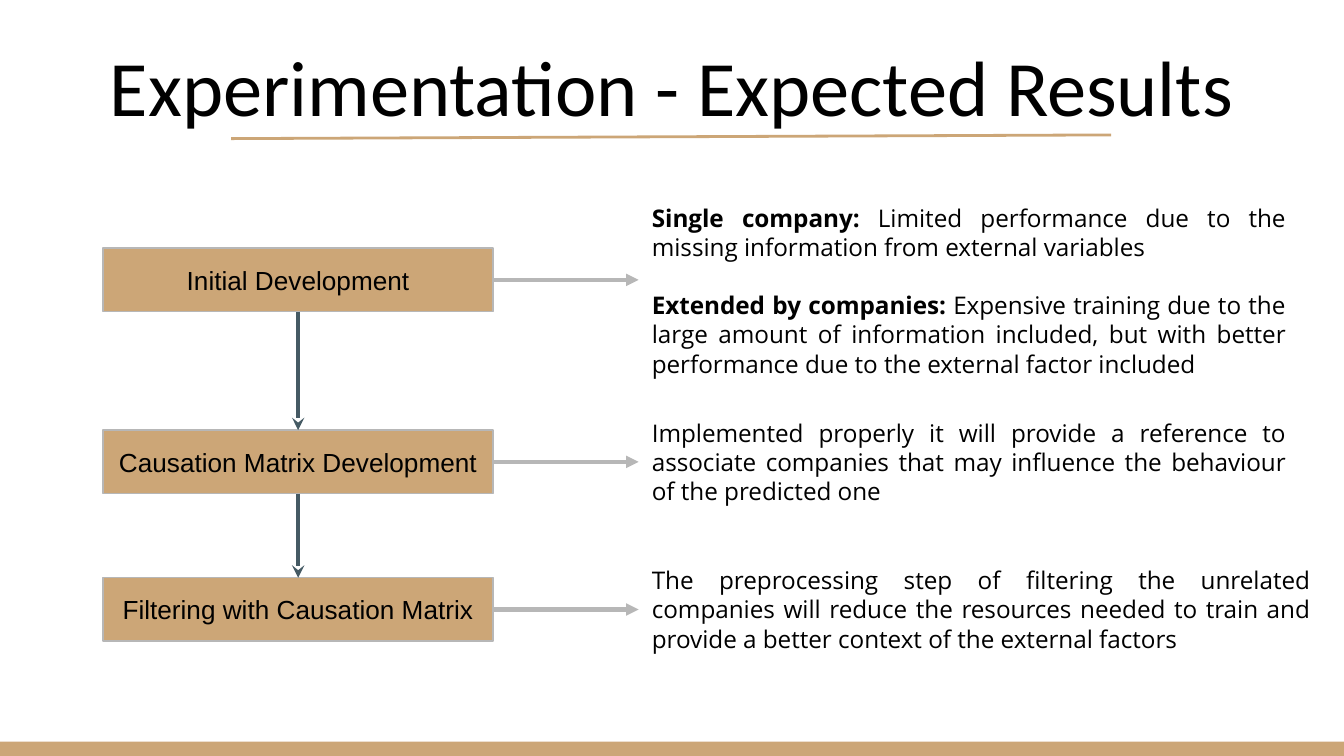
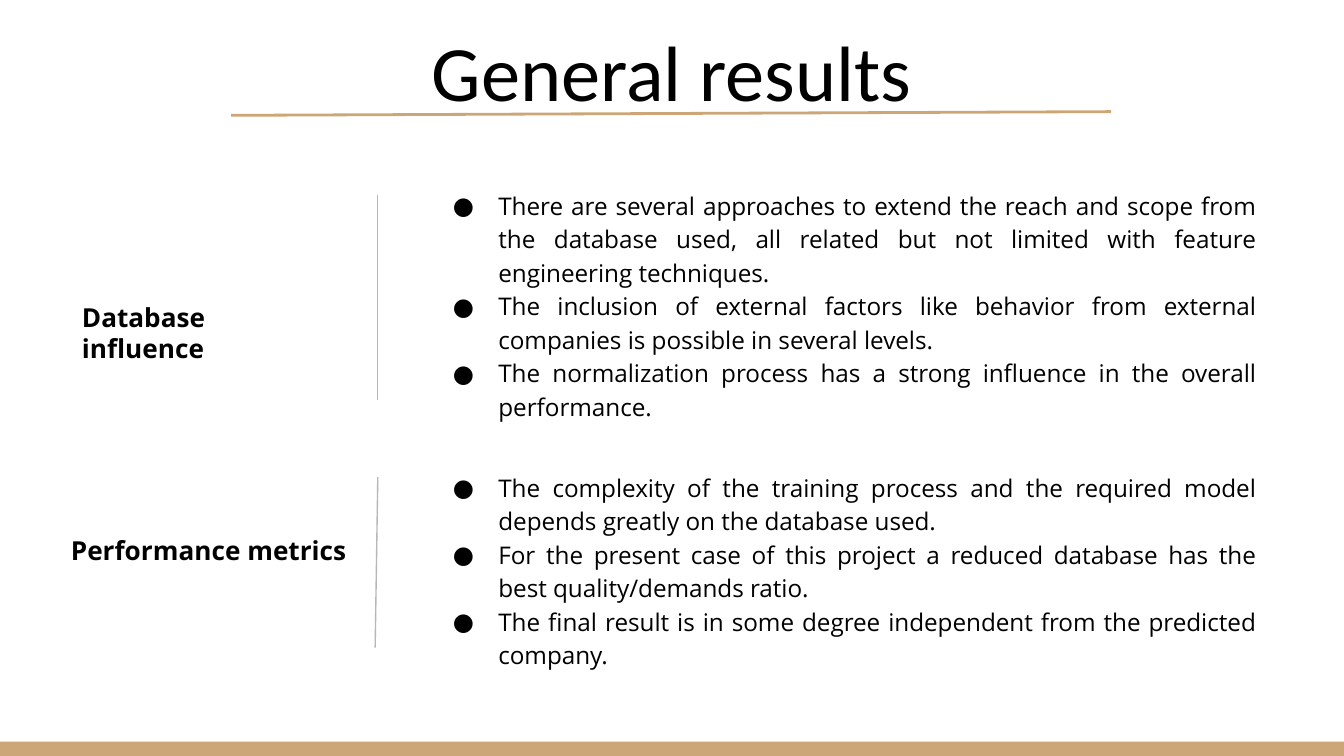
from lxml import etree
from pptx import Presentation
from pptx.dml.color import RGBColor
from pptx.enum import shapes, text
from pptx.oxml import ns
from pptx.util import Cm, Pt

TAN = RGBColor(0xCC, 0xA6, 0x77)
GREY = RGBColor(0xB7, 0xB7, 0xB7)
SLATE = RGBColor(0x45, 0x5A, 0x64)
BLACK = RGBColor(0, 0, 0)

WIDE, HIGH = 25.4, 14.29
BAND = 0.27
SANS = "Open Sans"
LEFT, MID = text.PP_ALIGN.LEFT, text.PP_ALIGN.CENTER
JUST = text.PP_ALIGN.JUSTIFY
TOP, CORE, BASE = (text.MSO_ANCHOR.TOP, text.MSO_ANCHOR.MIDDLE,
                   text.MSO_ANCHOR.BOTTOM)


def node(parent, tag, **attrs):
    return etree.SubElement(parent, ns.qn(tag), attrs)


def bullet(para):
    """Give a paragraph a round black bullet with a hanging indent."""
    props = para._p.get_or_add_pPr()
    props.set("marL", str(Cm(1.27)))
    props.set("indent", str(-Cm(0.86)))
    color = node(props, "a:buClr")
    node(color, "a:srgbClr", val=str(BLACK))
    node(props, "a:buFont", typeface=SANS)
    node(props, "a:buChar", char="●")


def write(shape, *paras, font=SANS, size=13, bold=False, align=LEFT,
          anchor=TOP, gap=0, pitch=None, dots=False):
    """Fill a shape; a paragraph is a string or a list of (words, bold)."""
    frame = shape.text_frame
    frame.word_wrap = True
    frame.auto_size = text.MSO_AUTO_SIZE.NONE
    frame.vertical_anchor = anchor
    frame.margin_left = frame.margin_right = Cm(0.25)
    frame.margin_top = frame.margin_bottom = Cm(0.25)
    for i, words in enumerate(paras):
        para = frame.add_paragraph() if i else frame.paragraphs[0]
        if dots:
            bullet(para)
        para.alignment = align
        if pitch:
            para.line_spacing = pitch
        if i and gap:
            para.space_before = Pt(gap)
        runs = [(words, bold)] if isinstance(words, str) else words
        for part, heavy in runs:
            run = para.add_run()
            run.text = part
            run.font.name, run.font.size = font, Pt(size)
            run.font.bold = heavy
            run.font.color.rgb = BLACK


def label(slide, box, *paras, **style):
    shape = slide.shapes.add_textbox(*map(Cm, box))
    write(shape, *paras, **style)
    return shape


def block(slide, box, edge=None):
    shape = slide.shapes.add_shape(shapes.MSO_SHAPE.RECTANGLE, *map(Cm, box))
    shape.shadow.inherit = False
    shape.fill.solid()
    shape.fill.fore_color.rgb = TAN
    if edge:
        shape.line.color.rgb = edge
        shape.line.width = Pt(0.75)
    else:
        shape.line.fill.background()
    return shape


def rule(slide, ends, color, width, head=None):
    line = slide.shapes.add_connector(shapes.MSO_CONNECTOR.STRAIGHT,
                                      *map(Cm, ends))
    line.line.color.rgb = color
    line.line.width = Pt(width)
    node(line._element.spPr, "a:effectLst")
    if head:
        node(line.line._get_or_add_ln(), "a:tailEnd", type=head)
    return line


def arrow(slide, start, out, end, into, color, head):
    """Join a side of one shape to a side of another."""
    line = rule(slide, (0, 0, 1, 1), color, 2.25, head)
    line.begin_connect(start, out)
    line.end_connect(end, into)


def page(deck, title, top, under):
    """Add a slide with the footer band and the underlined title."""
    slide = deck.slides.add_slide(deck.slide_layouts[5])
    block(slide, (0, HIGH - BAND, WIDE, BAND))
    head = slide.shapes.title
    head.left, head.top, head.width, head.height = map(
        Cm, (0.86, top, 23.67, 2.31))
    write(head, title, font="Calibri", size=42, align=MID, anchor=BASE)
    rule(slide, (4.37, under, 21, under - 0.07), TAN, 1.5)
    return slide


def step(slide, y, name, wide, high, *paras):
    """Draw a step centred on y, with an arrow to its expected result."""
    box = block(slide, (1.95, y - 0.6, 7.37, 1.2), GREY)
    write(box, name, font="Arial", size=14, align=MID, anchor=CORE)
    note = label(slide, (12.07, y - high / 2, wide, high), *paras,
                 align=JUST, gap=15.6)
    arrow(slide, box, 3, note, 1, GREY, "triangle")
    return box


def expected(deck):
    slide = page(deck, "Experimentation - Expected Results", 0.43, 2.62)
    steps = [
        (5.29, "Initial Development", 12.47, 3.4,
         [("Single company: ", True),
          ("Limited performance due to the missing information from "
           "external variables", False)],
         [("Extended by companies: ", True),
          ("Expensive training due to the large amount of information "
           "included, but with better performance due to the external "
           "factor included", False)]),
        (8.73, "Causation Matrix Development", 12.47, 2.16,
         "Implemented properly it will provide a reference to associate "
         "companies that may influence the behaviour of the predicted one"),
        (11.52, "Filtering with Causation Matrix", 12.93, 2.16,
         "The preprocessing step of filtering the unrelated companies will "
         "reduce the resources needed to train and provide a better context "
         "of the external factors"),
    ]
    boxes = [step(slide, *item) for item in steps]
    for above, below in zip(boxes, boxes[1:]):
        arrow(slide, above, 2, below, 0, SLATE, "stealth")


def topic(slide, name, spot, bar, top, high, *points):
    """Set a bold topic name, a divider and its bulleted points."""
    label(slide, (*spot, 0.91), name, size=14, bold=True)
    rule(slide, bar, GREY, 0.75)
    label(slide, (7.9, top, 16.08, high), *points,
          align=JUST, pitch=1.15, dots=True)


def general(deck):
    slide = page(deck, "General results", 0.15, 2.18)
    topic(slide, "Database influence", (1.3, 5.44, 5.2),
          (7.14, 3.68, 7.14, 7.57), 3.28, 5.16,
          "There are several approaches to extend the reach and scope from "
          "the database used, all related but not limited with feature "
          "engineering techniques.",
          "The inclusion of external factors like behavior from external "
          "companies is possible in several levels.",
          "The normalization process has a strong influence in the overall "
          "performance.")
    topic(slide, "Performance metrics", (1.09, 9.86, 5.82),
          (7.14, 9.02, 7.09, 12.24), 8.61, 4.17,
          "The complexity of the training process and the required model "
          "depends greatly on the database used.",
          "For the present case of this project a reduced database has the "
          "best quality/demands ratio.",
          "The final result is in some degree independent from the "
          "predicted company.")


def main():
    deck = Presentation()
    deck.slide_width, deck.slide_height = Cm(WIDE), Cm(HIGH)
    expected(deck)
    general(deck)
    deck.save("out.pptx")


if __name__ == "__main__":
    main()
